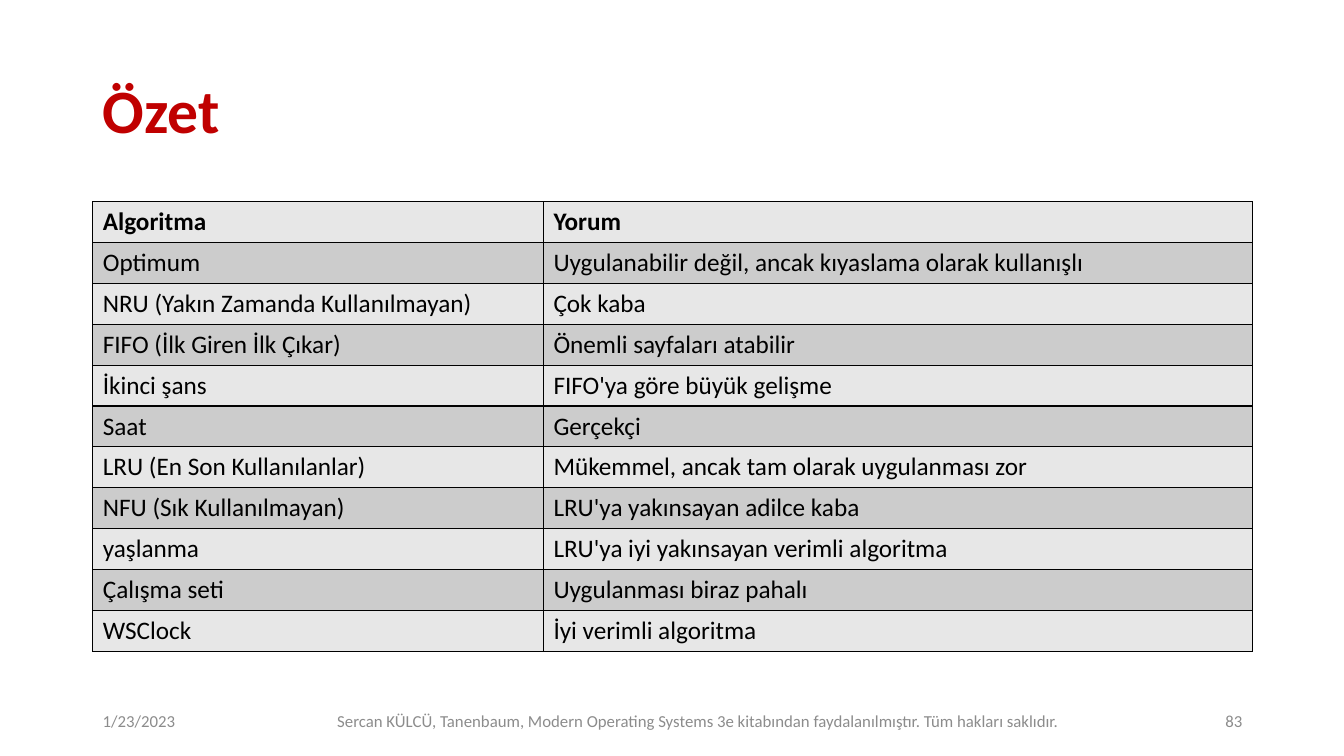
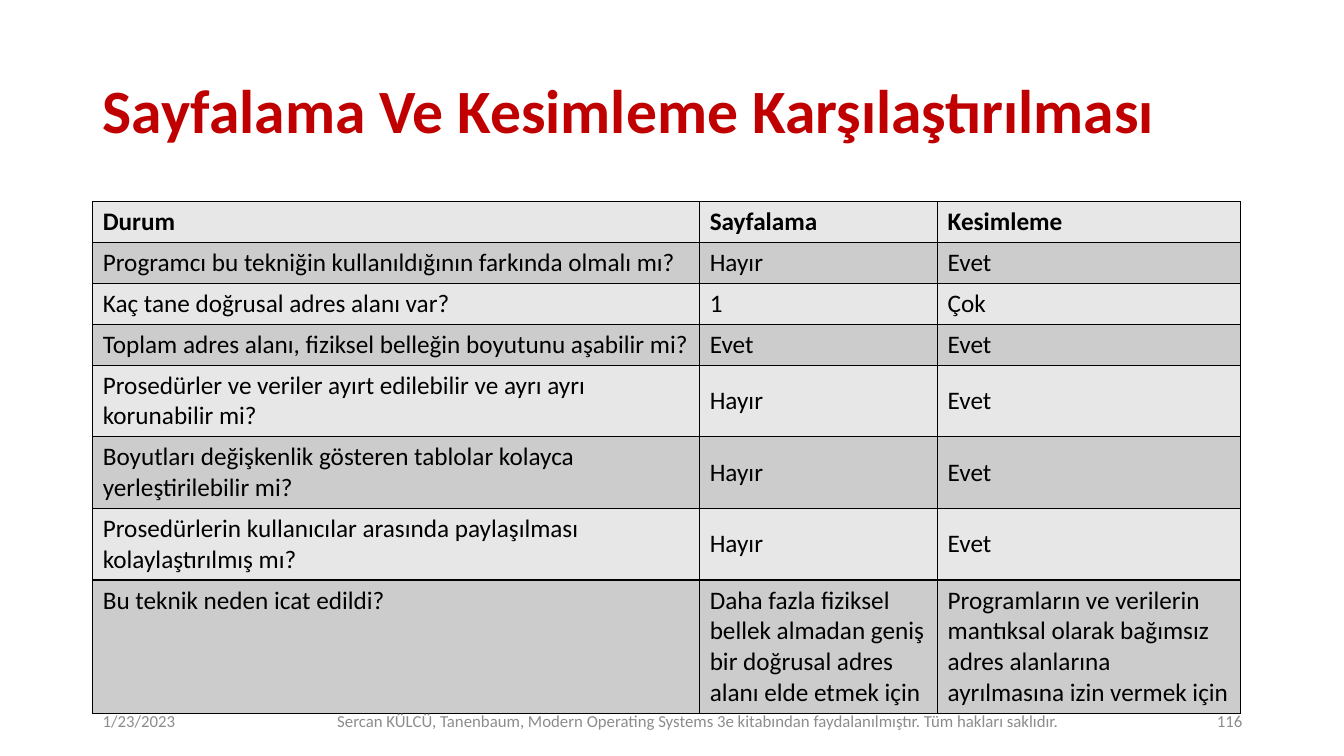
import pptx
import pptx.dml.color
import pptx.enum.text
import pptx.oxml
import pptx.oxml.ns
import pptx.util

RED = pptx.dml.color.RGBColor(0xC0, 0x00, 0x00)
BLACK = pptx.dml.color.RGBColor(0x00, 0x00, 0x00)
FOOTER_GRAY = pptx.dml.color.RGBColor(0x8C, 0x8C, 0x8C)
BAND_COLORS = (
    pptx.dml.color.RGBColor(0xE7, 0xE7, 0xE7),
    pptx.dml.color.RGBColor(0xCC, 0xCC, 0xCC),
)

FONT = "Calibri"
LEFT, RIGHT = 0.92, 12.42
TABLE_TOP = 2
CELL_PADDING, LINE_HEIGHT = 0.1, 0.305
TITLE_BOX = (LEFT, 0.4, RIGHT - LEFT, 1.45)
FOOTER_TOP, FOOTER_HEIGHT, FOOTER_SIDE = 6.95, 0.4, 3

ALIGN = pptx.enum.text.PP_ALIGN
MIDDLE = pptx.enum.text.MSO_ANCHOR.MIDDLE
TOP = pptx.enum.text.MSO_ANCHOR.TOP

DATE = "1/23/2023"
CREDIT = (
    "Sercan KÜLCÜ, Tanenbaum, Modern Operating Systems 3e kitabından "
    "faydalanılmıştır. Tüm hakları saklıdır."
)

ALGORITHMS = [
    ("Algoritma", "Yorum"),
    ("Optimum", "Uygulanabilir değil, ancak kıyaslama olarak kullanışlı"),
    ("NRU (Yakın Zamanda Kullanılmayan)", "Çok kaba"),
    ("FIFO (İlk Giren İlk Çıkar)", "Önemli sayfaları atabilir"),
    ("İkinci şans", "FIFO'ya göre büyük gelişme"),
    ("Saat", "Gerçekçi"),
    ("LRU (En Son Kullanılanlar)", "Mükemmel, ancak tam olarak uygulanması zor"),
    ("NFU (Sık Kullanılmayan)", "LRU'ya yakınsayan adilce kaba"),
    ("yaşlanma", "LRU'ya iyi yakınsayan verimli algoritma"),
    ("Çalışma seti", "Uygulanması biraz pahalı"),
    ("WSClock", "İyi verimli algoritma"),
]

COMPARISON = [
    ("Durum", "Sayfalama", "Kesimleme"),
    ("Programcı bu tekniğin kullanıldığının farkında olmalı mı?", "Hayır", "Evet"),
    ("Kaç tane doğrusal adres alanı var?", "1", "Çok"),
    ("Toplam adres alanı, fiziksel belleğin boyutunu aşabilir mi?", "Evet", "Evet"),
    ("Prosedürler ve veriler ayırt edilebilir ve ayrı ayrı korunabilir mi?", "Hayır", "Evet"),
    ("Boyutları değişkenlik gösteren tablolar kolayca yerleştirilebilir mi?", "Hayır", "Evet"),
    ("Prosedürlerin kullanıcılar arasında paylaşılması kolaylaştırılmış mı?", "Hayır", "Evet"),
    (
        "Bu teknik neden icat edildi?",
        "Daha fazla fiziksel bellek almadan geniş bir doğrusal adres alanı elde etmek için",
        "Programların ve verilerin mantıksal olarak bağımsız adres alanlarına "
        "ayrılmasına izin vermek için",
    ),
]


def inches(lengths):
    return [pptx.util.Inches(length) for length in lengths]


def write(frame, text, size, color, bold=False, align=ALIGN.LEFT):
    frame.text = text
    para = frame.paragraphs[0]
    para.alignment = align
    para.font.name = FONT
    para.font.size = pptx.util.Pt(size)
    para.font.bold = bold
    para.font.color.rgb = color
    return para


def add_title(page, text, box):
    title = page.shapes.title
    title.left, title.top, title.width, title.height = inches(box)
    title.text_frame.vertical_anchor = MIDDLE
    write(title.text_frame, text, 44, RED, bold=True).line_spacing = 0.9


def add_footer(page, number):
    parts = (
        (CREDIT, 3.17, 7.51, ALIGN.CENTER),
        (number, RIGHT - FOOTER_SIDE, FOOTER_SIDE, ALIGN.RIGHT),
        (DATE, LEFT, FOOTER_SIDE, ALIGN.LEFT),
    )
    for text, left, width, align in parts:
        box = page.shapes.add_textbox(*inches((left, FOOTER_TOP, width, FOOTER_HEIGHT)))
        box.text_frame.word_wrap = True
        box.text_frame.vertical_anchor = MIDDLE
        write(box.text_frame, text, 12, FOOTER_GRAY, align=align)


def add_borders(cell):
    properties = cell._tc.get_or_add_tcPr()
    for side in ("lnL", "lnR", "lnT", "lnB"):
        properties.append(pptx.oxml.parse_xml(
            f'<a:{side} {pptx.oxml.ns.nsdecls("a")} w="12700"><a:solidFill>'
            f'<a:srgbClr val="{BLACK}"/></a:solidFill></a:{side}>'
        ))


def add_grid(page, rows, left, top, columns, line_counts, middle_rows=()):
    heights = [CELL_PADDING + LINE_HEIGHT * count for count in line_counts]
    box = inches((left, top, sum(columns), sum(heights)))
    grid = page.shapes.add_table(len(rows), len(columns), *box).table
    for column, width in zip(grid.columns, inches(columns)):
        column.width = width
    for row, height in zip(grid.rows, inches(heights)):
        row.height = height
    for row_index, texts in enumerate(rows):
        for column_index, text in enumerate(texts):
            cell = grid.cell(row_index, column_index)
            centered = row_index in middle_rows and column_index > 0
            cell.vertical_anchor = MIDDLE if centered else TOP
            add_borders(cell)
            cell.fill.solid()
            cell.fill.fore_color.rgb = BAND_COLORS[row_index % 2]
            write(cell.text_frame, text, 18, BLACK, bold=row_index == 0)


def add_table_page(deck, title, number, rows, columns, line_counts, middle_rows=()):
    page = deck.slides.add_slide(deck.slide_layouts.get_by_name("Title Only"))
    add_title(page, title, TITLE_BOX)
    add_grid(page, rows, LEFT, TABLE_TOP, columns, line_counts, middle_rows)
    add_footer(page, number)


def main():
    deck = pptx.Presentation()
    deck.slide_width, deck.slide_height = inches((13.33, 7.5))
    add_table_page(deck, "Özet", "83", ALGORITHMS, (4.47, 7.03), [1] * len(ALGORITHMS))
    add_table_page(
        deck, "Sayfalama Ve Kesimleme Karşılaştırılması", "116", COMPARISON,
        (6.02, 2.36, 3), [1] * 4 + [2] * 3 + [4], range(1, 7),
    )
    deck.save("out.pptx")


if __name__ == "__main__":
    main()
